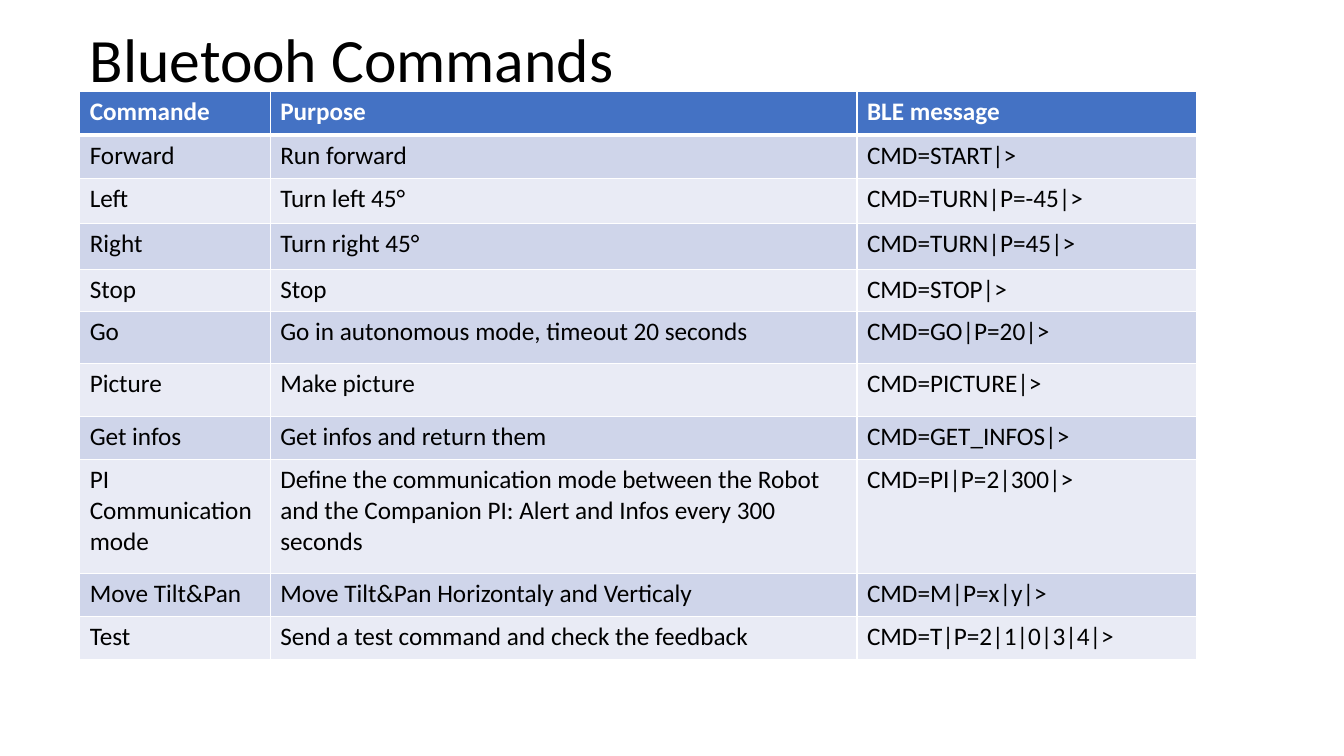
from dataclasses import dataclass
from typing import Any, NamedTuple

from lxml import etree
from pptx import Presentation
from pptx import util as u
from pptx.dml import color
from pptx.enum import text
from pptx.oxml import ns


@dataclass(frozen=True)
class Theme:
    font: str = "Calibri"
    title_size: int = 44
    cell_size: int = 18
    ink: str = "000000"
    paper: str = "FFFFFF"
    header: str = "4472C4"
    bands: tuple[str, str] = ("CFD5EA", "E9EBF5")
    rule: int = 1
    header_rule: int = 3


class Command(NamedTuple):
    name: str
    purpose: str
    message: str
    height: float = 0.43


THEME = Theme()
COLUMN_WIDTHS = (1.89, 5.82, 3.37)
COMMANDS = (
    Command("Commande", "Purpose", "BLE message"),
    Command("Forward", "Run forward", "CMD=START|>"),
    Command("Left", "Turn left 45°", "CMD=TURN|P=-45|>", 0.45),
    Command("Right", "Turn right 45°", "CMD=TURN|P=45|>", 0.45),
    Command("Stop", "Stop", "CMD=STOP|>", 0.42),
    Command("Go", "Go in autonomous mode, timeout 20 seconds", "CMD=GO|P=20|>", 0.52),
    Command("Picture", "Make picture", "CMD=PICTURE|>", 0.52),
    Command("Get infos", "Get infos and return them", "CMD=GET_INFOS|>"),
    Command(
        "PI Communication mode",
        "Define the communication mode between the Robot and the Companion PI: "
        "Alert and Infos every 300 seconds",
        "CMD=PI|P=2|300|>",
        1.13,
    ),
    Command("Move Tilt&Pan", "Move Tilt&Pan Horizontaly and Verticaly", "CMD=M|P=x|y|>"),
    Command("Test", "Send a test command and check the feedback", "CMD=T|P=2|1|0|3|4|>"),
)


def apply_format(target: Any, values: dict[str, Any]) -> None:
    for name, value in values.items():
        setattr(target, name, value)


def format_font(font: Any, size: int, ink: str, bold: bool = False) -> None:
    apply_format(font, {"name": THEME.font, "size": u.Pt(size), "bold": bold})
    font.color.rgb = color.RGBColor.from_string(ink)


def draw_borders(cell: Any, row: int) -> None:
    properties = cell._tc.get_or_add_tcPr()
    widths = {
        "lnL": THEME.rule,
        "lnR": THEME.rule,
        "lnT": THEME.header_rule if row == 1 else THEME.rule,
        "lnB": THEME.header_rule if row == 0 else THEME.rule,
    }
    for position, (tag, width) in enumerate(widths.items()):
        line = etree.Element(ns.qn(f"a:{tag}"), w=str(u.Pt(width)))
        fill = etree.SubElement(line, ns.qn("a:solidFill"))
        etree.SubElement(fill, ns.qn("a:srgbClr"), val=THEME.paper)
        properties.insert(position, line)


def draw_title(slide: Any, wording: str) -> None:
    title = slide.shapes.title
    apply_format(title, {
        "left": u.Inches(0.79), "top": u.Inches(0.21),
        "width": u.Inches(11.5), "height": u.Inches(0.82),
    })
    title.text_frame.text = wording
    apply_format(title.text_frame, {
        "word_wrap": True,
        "auto_size": text.MSO_AUTO_SIZE.NONE,
        "vertical_anchor": text.MSO_ANCHOR.MIDDLE,
    })
    paragraph = title.text_frame.paragraphs[0]
    apply_format(paragraph, {"alignment": text.PP_ALIGN.LEFT, "line_spacing": 0.9})
    format_font(paragraph.runs[0].font, THEME.title_size, THEME.ink)


def draw_cell(cell: Any, wording: str, row: int) -> None:
    is_header = row == 0
    background = THEME.header if is_header else THEME.bands[(row - 1) % 2]
    cell.text = wording
    cell.fill.solid()
    cell.fill.fore_color.rgb = color.RGBColor.from_string(background)
    ink = THEME.paper if is_header else THEME.ink
    font = cell.text_frame.paragraphs[0].runs[0].font
    format_font(font, THEME.cell_size, ink, is_header)
    draw_borders(cell, row)


def draw_commands(slide: Any, commands: tuple[Command, ...]) -> None:
    table = slide.shapes.add_table(
        len(commands), len(COLUMN_WIDTHS), u.Inches(0.79), u.Inches(0.91),
        u.Inches(sum(COLUMN_WIDTHS)),
        u.Inches(sum(command.height for command in commands)),
    ).table
    for column, width in zip(table.columns, COLUMN_WIDTHS):
        column.width = u.Inches(width)
    for row, command in enumerate(commands):
        table.rows[row].height = u.Inches(command.height)
        wordings = (command.name, command.purpose, command.message)
        for column, wording in enumerate(wordings):
            draw_cell(table.cell(row, column), wording, row)


def main() -> None:
    presentation = Presentation()
    apply_format(presentation, {
        "slide_width": u.Inches(13.33), "slide_height": u.Inches(7.5),
    })
    slide = presentation.slides.add_slide(presentation.slide_layouts[5])
    draw_title(slide, "Bluetooh Commands")
    draw_commands(slide, COMMANDS)
    presentation.save("out.pptx")


main()
